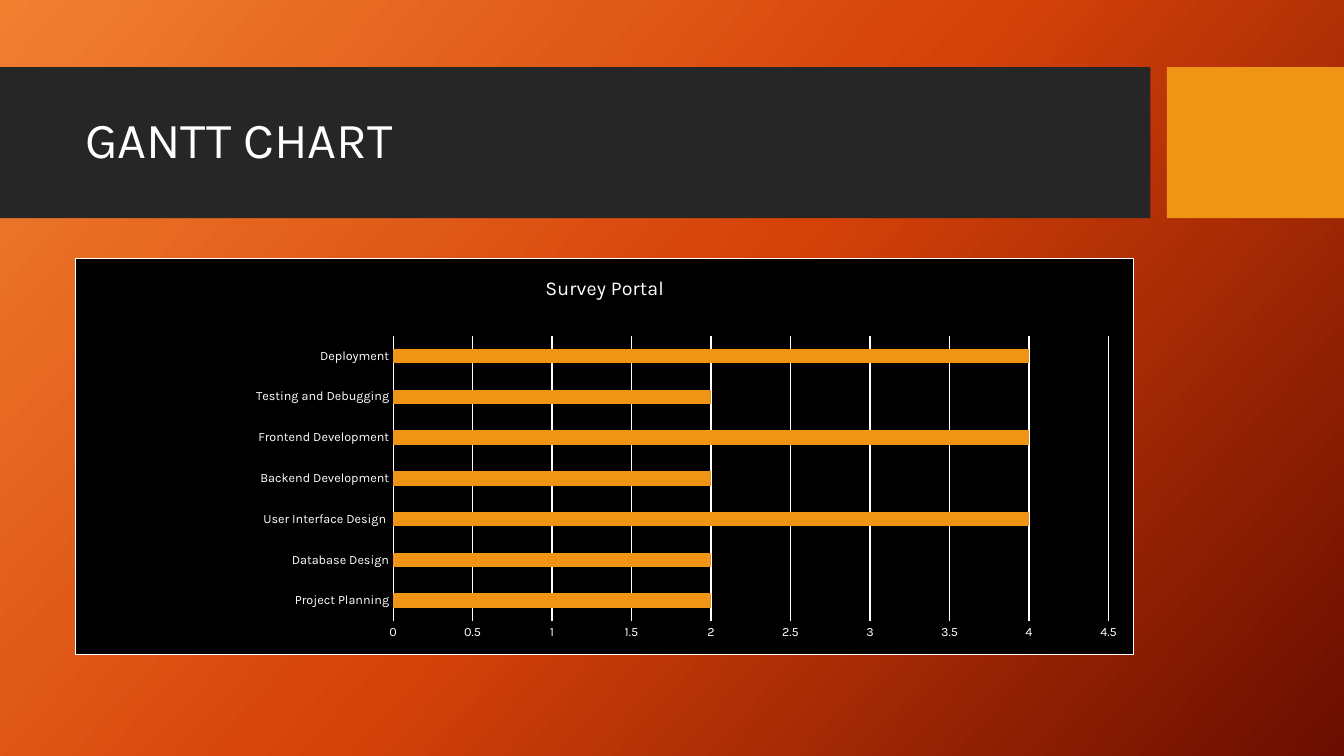
from copy import deepcopy
from dataclasses import dataclass

from pptx import Presentation
from pptx import util as u
from pptx.chart.data import CategoryChartData
from pptx.dml.color import RGBColor
from pptx.enum import chart as kinds, shapes, text
from pptx.oxml import parse_xml
from pptx.oxml.ns import nsdecls, qn


@dataclass(frozen=True)
class Theme:
    font: str = "Karla"
    white: str = "FFFFFF"
    band: str = "262626"
    accent: str = "F09415"
    panel: str = "000000"
    gradient: tuple = ((0, "F18031"), (0.5, "D54209"), (1, "6A0D00"))
    gradient_angle: int = 42
    title_size: int = 36
    chart_title_size: int = 14
    chart_size: int = 10
    axis_size: int = 9
    line_width: float = 0.75


class SlideBuilder:
    def __init__(self, slide, theme):
        self.slide = slide
        self.theme = theme

    def style_font(self, font, size):
        font.name = self.theme.font
        font.size = u.Pt(size)
        font.bold = False
        font.color.rgb = RGBColor.from_string(self.theme.white)

    def style_line(self, line):
        line.color.rgb = RGBColor.from_string(self.theme.white)
        line.width = u.Pt(self.theme.line_width)

    def background(self):
        fill = self.slide.background.fill
        fill.gradient()
        fill.gradient_angle = 360 - self.theme.gradient_angle
        first = fill.gradient_stops[0]._gs
        first.addnext(deepcopy(first))
        for stop, (position, color) in zip(fill.gradient_stops, self.theme.gradient):
            stop.position = position
            stop.color.rgb = RGBColor.from_string(color)

    def block(self, left, top, width, height, color):
        box = self.slide.shapes.add_shape(
            shapes.MSO_SHAPE.RECTANGLE, u.Cm(left), u.Cm(top), u.Cm(width), u.Cm(height))
        box.shadow.inherit = False
        box.fill.solid()
        box.fill.fore_color.rgb = RGBColor.from_string(color)
        box.line.fill.background()

    def title(self, wording, left, top, width, height):
        box = self.slide.shapes.title
        box.left, box.top, box.width, box.height = map(u.Cm, (left, top, width, height))
        frame = box.text_frame
        frame.text = wording
        frame.word_wrap = True
        frame.vertical_anchor = text.MSO_ANCHOR.MIDDLE
        para = frame.paragraphs[0]
        para.alignment = text.PP_ALIGN.LEFT
        para.line_spacing = 0.9
        self.style_font(para.runs[0].font, self.theme.title_size)
        tree = box.element.getparent()
        tree.remove(box.element)
        tree.append(box.element)

    def bar_chart(self, name, durations, left, top, width, height):
        data = CategoryChartData()
        data.categories = list(durations)
        data.add_series(name, list(durations.values()))
        chart = self.slide.shapes.add_chart(
            kinds.XL_CHART_TYPE.BAR_CLUSTERED,
            u.Cm(left), u.Cm(top), u.Cm(width), u.Cm(height), data).chart
        self.style_font(chart.font, self.theme.chart_size)
        chart.has_legend = False
        chart.has_title = True
        chart.chart_title.text_frame.text = name
        span = chart.chart_title.text_frame.paragraphs[0].runs[0]
        self.style_font(span.font, self.theme.chart_title_size)
        chart.chart_title.include_in_layout = False

        plot = chart.plots[0]
        plot.gap_width = 182
        plot.vary_by_categories = False
        bars = plot.series[0].format.fill
        bars.solid()
        bars.fore_color.rgb = RGBColor.from_string(self.theme.accent)

        for axis in (chart.category_axis, chart.value_axis):
            axis.major_tick_mark = kinds.XL_TICK_MARK.NONE
            axis.minor_tick_mark = kinds.XL_TICK_MARK.NONE
            self.style_font(axis.tick_labels.font, self.theme.axis_size)
        chart.category_axis.has_major_gridlines = False
        self.style_line(chart.category_axis.format.line)
        scale = chart.value_axis
        scale.minimum_scale, scale.maximum_scale, scale.major_unit = 0, 4.5, 0.5
        scale.format.line.fill.background()
        scale.has_major_gridlines = True
        self.style_line(scale.major_gridlines.format.line)
        self.chart_panel(chart)
        self.plot_layout(chart, x=0.3, y=0.195, w=0.676, h=0.721)

    def chart_panel(self, chart):
        width = u.Pt(self.theme.line_width)
        panel = parse_xml(
            f'<c:spPr {nsdecls("c", "a")}>'
            f'<a:solidFill><a:srgbClr val="{self.theme.panel}"/></a:solidFill>'
            f'<a:ln w="{width}"><a:solidFill><a:srgbClr val="{self.theme.white}"/>'
            '</a:solidFill></a:ln></c:spPr>')
        chart.element.find(qn("c:txPr")).addprevious(panel)

    def plot_layout(self, chart, **fractions):
        area = chart.element.find(".//" + qn("c:plotArea"))
        for layout in area.findall(qn("c:layout")):
            area.remove(layout)
        sizes = "".join(f'<c:{key} val="{value}"/>' for key, value in fractions.items())
        area.insert(0, parse_xml(
            f'<c:layout {nsdecls("c")}><c:manualLayout><c:layoutTarget val="inner"/>'
            f'<c:xMode val="edge"/><c:yMode val="edge"/>{sizes}'
            '</c:manualLayout></c:layout>'))


def main():
    deck = Presentation()
    deck.slide_width, deck.slide_height = u.Cm(33.87), u.Cm(19.05)
    theme = Theme()
    page = SlideBuilder(deck.slides.add_slide(deck.slide_layouts[5]), theme)
    page.background()
    page.block(0, 1.69, 28.99, 3.81, theme.band)
    page.block(29.41, 1.69, 4.46, 3.81, theme.accent)
    page.title("GANTT CHART", 1.89, 2.08, 26.7, 3)
    durations = {
        "Project Planning": 2,
        "Database Design": 2,
        "User Interface Design ": 4,
        "Backend Development": 2,
        "Frontend Development": 4,
        "Testing and Debugging": 2,
        "Deployment": 4,
    }
    page.bar_chart("Survey Portal", durations, 1.89, 6.5, 26.7, 10)
    deck.save("out.pptx")


if __name__ == "__main__":
    main()
